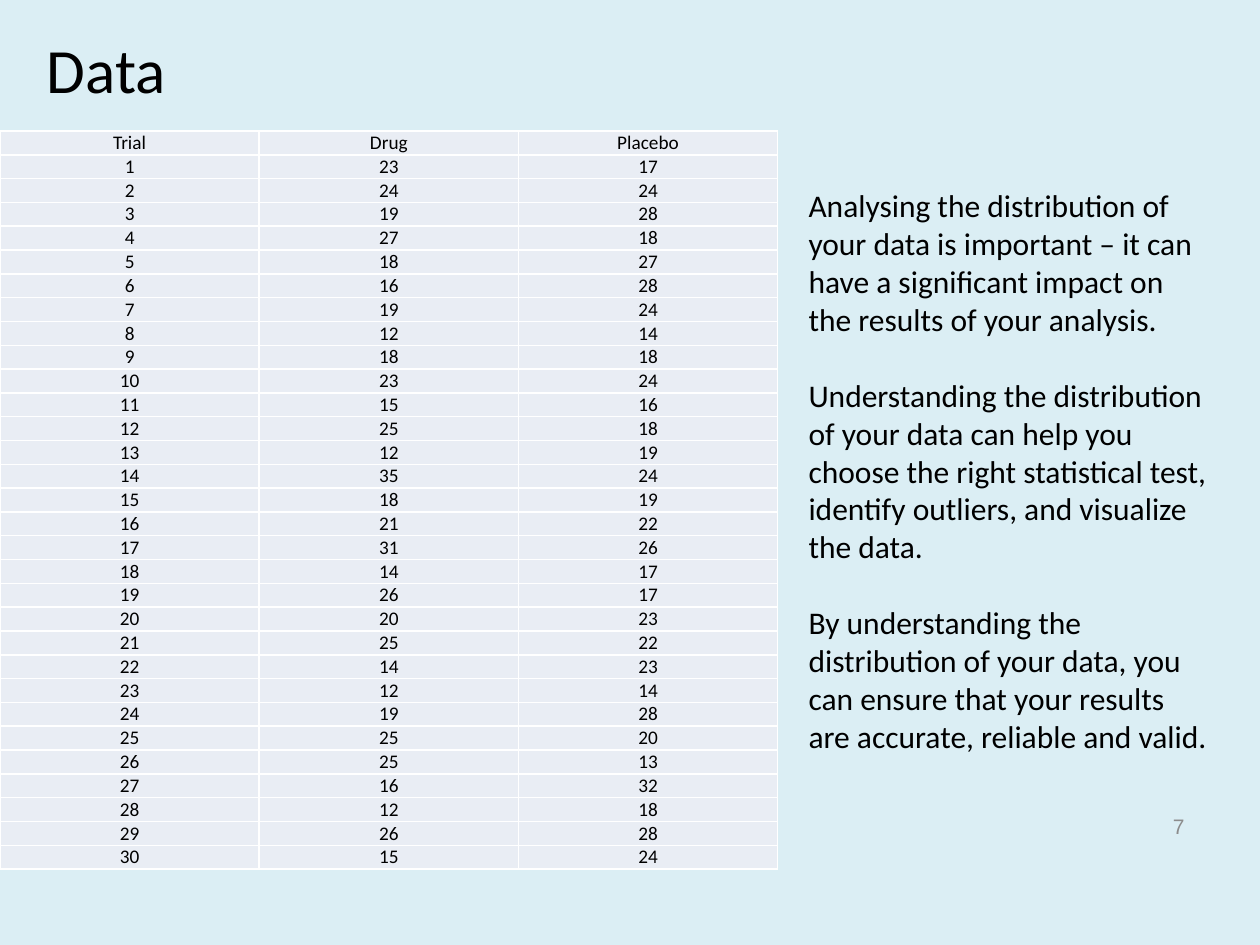
from lxml.etree import SubElement
from pptx import Presentation
from pptx.dml.color import RGBColor
from pptx.enum.text import MSO_ANCHOR as Anchor, MSO_AUTO_SIZE as AutoSize, PP_ALIGN as Align
from pptx.oxml.ns import qn
from pptx.util import Cm, Pt

BACKGROUND = RGBColor(0xDB, 0xEE, 0xF4)
CELL_FILL = RGBColor(0xE9, 0xED, 0xF4)
BORDER = RGBColor(0xFF, 0xFF, 0xFF)
BLACK = RGBColor(0x00, 0x00, 0x00)
GREY = RGBColor(0x8C, 0x8C, 0x8C)

HEADERS = ["Trial", "Drug", "Placebo"]
DRUG = [23, 24, 19, 27, 18, 16, 19, 12, 18, 23, 15, 25, 12, 35, 18,
        21, 31, 14, 26, 20, 25, 14, 12, 19, 25, 25, 16, 12, 26, 15]
PLACEBO = [17, 24, 28, 18, 27, 28, 24, 14, 18, 24, 16, 18, 19, 24, 19,
           22, 26, 17, 17, 23, 22, 23, 14, 28, 20, 13, 32, 18, 28, 24]
EXPLANATION = [
    "Analysing the distribution of your data is important – it can have a "
    "significant impact on the results of your analysis.",
    "Understanding the distribution of your data can help you choose the right "
    "statistical test, identify outliers, and visualize the data.",
    "By understanding the distribution of your data, you can ensure that your "
    "results are accurate, reliable and valid.",
]


def format_paragraph(paragraph, size, align=Align.LEFT, font="Calibri", color=BLACK):
    paragraph.alignment = align
    for run in paragraph.runs:
        run.font.size = Pt(size)
        run.font.name = font
        run.font.color.rgb = color


def set_title(slide, text):
    title = slide.shapes.title
    title.left, title.top, title.width, title.height = Cm(0.69), Cm(0.46), Cm(22.86), Cm(1.83)
    title.text_frame.text = text
    title.text_frame.vertical_anchor = Anchor.MIDDLE
    format_paragraph(title.text_frame.paragraphs[0], 36)


def add_borders(cell):
    properties = cell._tc.get_or_add_tcPr()
    for side in ("lnL", "lnR", "lnT", "lnB"):
        line = SubElement(properties, qn(f"a:{side}"), w=str(Pt(1)))
        fill = SubElement(line, qn("a:solidFill"))
        SubElement(fill, qn("a:srgbClr"), val=str(BORDER))


def format_cell(cell, text):
    cell.text_frame.text = text
    cell.margin_left = cell.margin_right = cell.margin_top = cell.margin_bottom = 0
    cell.vertical_anchor = Anchor.BOTTOM
    format_paragraph(cell.text_frame.paragraphs[0], 11, Align.CENTER)
    add_borders(cell)
    cell.fill.solid()
    cell.fill.fore_color.rgb = CELL_FILL


def add_data_table(slide, rows):
    frame = slide.shapes.add_table(len(rows), len(HEADERS), Cm(0), Cm(2.64), Cm(15.68), Cm(14.78))
    table = frame.table
    table.first_row = table.horz_banding = False
    for row_index, row in enumerate(rows):
        for column_index, value in enumerate(row):
            format_cell(table.cell(row_index, column_index), str(value))


def add_text(slide, position, paragraphs, size, gap=0, anchor=Anchor.TOP, **style):
    text_frame = slide.shapes.add_textbox(*map(Cm, position)).text_frame
    text_frame.word_wrap = True
    text_frame.vertical_anchor = anchor
    for index, text in enumerate(paragraphs):
        paragraph = text_frame.add_paragraph() if index else text_frame.paragraphs[0]
        paragraph.text = text
        if index:
            paragraph.space_before = Pt(gap)
        format_paragraph(paragraph, size, **style)
    return text_frame


def main():
    presentation = Presentation()
    presentation.slide_width, presentation.slide_height = Cm(25.4), Cm(19.05)
    slide = presentation.slides.add_slide(presentation.slide_layouts.get_by_name("Title Only"))
    slide.background.fill.solid()
    slide.background.fill.fore_color.rgb = BACKGROUND

    set_title(slide, "Data")
    trials = range(1, len(DRUG) + 1)
    add_data_table(slide, [HEADERS, *zip(trials, DRUG, PLACEBO)])
    add_text(slide, (18.2, 16.15, 5.93, 1.01), ["7"], 12, anchor=Anchor.MIDDLE,
             align=Align.RIGHT, font="Arial", color=GREY)
    explanation = add_text(slide, (16.05, 3.63, 8.56, 11.79), EXPLANATION, 18, gap=22)
    explanation.auto_size = AutoSize.SHAPE_TO_FIT_TEXT
    presentation.save("out.pptx")


if __name__ == "__main__":
    main()
